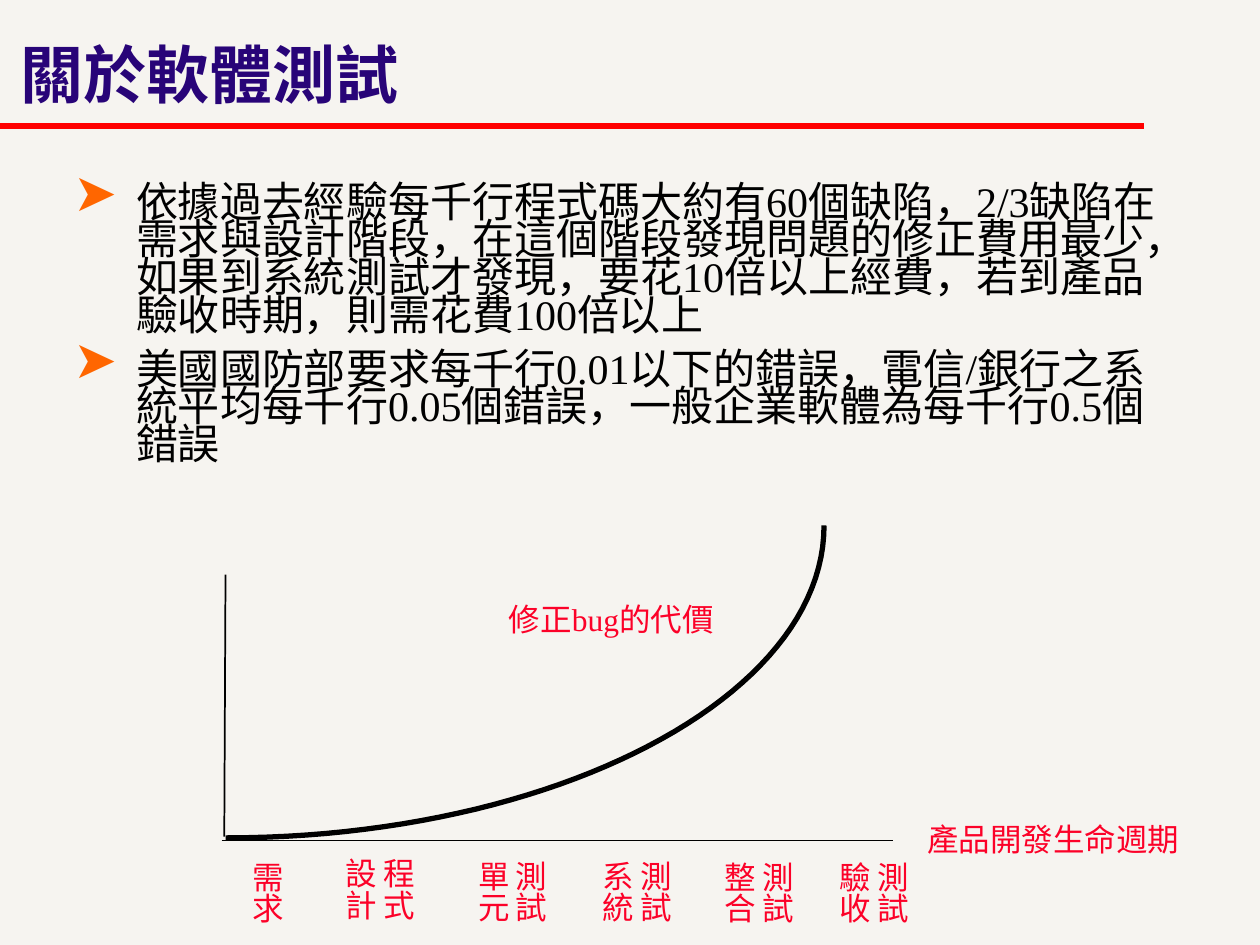
from dataclasses import dataclass

import pptx
import pptx.dml.color
import pptx.enum.shapes
import pptx.enum.text
import pptx.oxml.ns
import pptx.util
from lxml import etree

Inches = pptx.util.Inches
Pt = pptx.util.Pt
ANCHOR = pptx.enum.text.MSO_ANCHOR


@dataclass(frozen=True)
class Theme:
    """Colours, font and type sizes of the slide."""
    background: str = "F6F4F0"
    title: str = "280478"
    rule: str = "FF0000"
    bullet: str = "FF6600"
    ink: str = "000000"
    label: str = "FC0128"
    font: str = "Times New Roman"
    title_size: int = 36
    body_size: int = 24
    label_size: int = 18


THEME = Theme()
POINTS = (
    "依據過去經驗每千行程式碼大約有60個缺陷，2/3缺陷在需求與設計階段，在這個階段發現問題的修正費用最少，"
    "如果到系統測試才發現，要花10倍以上經費，若到產品驗收時期，則需花費100倍以上",
    "美國國防部要求每千行0.01以下的錯誤，電信/銀行之系統平均每千行0.05個錯誤，一般企業軟體為每千行0.5個錯誤",
)
STAGES = (
    ("需求", 0, 2.11, 0.62),
    ("程式\n設計", 0.74, 2.08, 0.92),
    ("測試\n單元", 1.79, 2.1, 0.92),
    ("測試\n系統", 2.78, 2.1, 0.92),
    ("測試\n整合", 3.75, 2.11, 0.92),
    ("測試\n驗收", 4.66, 2.11, 0.92),
)


def rgb(value):
    """Turn a hex string into a colour."""
    return pptx.dml.color.RGBColor.from_string(value)


def add_child(parent, tag, **attributes):
    """Append a DrawingML element."""
    return etree.SubElement(parent, pptx.oxml.ns.qn(tag), attributes)


def add_text(slide, box, text, size, color, anchor=ANCHOR.TOP, wrap=True,
             insets=(0.16, 0.08, 0.16, 0.08), bold=False):
    """Place text in a box and return its frame."""
    frame = slide.shapes.add_textbox(*map(Inches, box)).text_frame
    frame.text = text
    frame.word_wrap = wrap
    frame.vertical_anchor = anchor
    (frame.margin_left, frame.margin_top,
     frame.margin_right, frame.margin_bottom) = map(Inches, insets)
    for paragraph in frame.paragraphs:
        for run in paragraph.runs:
            run.font.name = THEME.font
            run.font.size = Pt(size)
            run.font.bold = bold
            run.font.color.rgb = rgb(color)
    return frame


def add_label(slide, box, text, **options):
    """Place a chart label that grows with its text."""
    frame = add_text(slide, box, text, THEME.label_size, THEME.label, wrap=False, **options)
    frame.auto_size = pptx.enum.text.MSO_AUTO_SIZE.SHAPE_TO_FIT_TEXT
    return frame


def add_line(slide, start, end, color, width):
    """Draw a straight line without shadow."""
    line = slide.shapes.add_connector(
        pptx.enum.shapes.MSO_CONNECTOR.STRAIGHT, *map(Inches, start + end))
    line.line.color.rgb = rgb(color)
    line.line.width = Pt(width)
    add_child(line._element.spPr, "a:effectLst")


def add_title(slide, box, text):
    """Place the title and the rule beneath it."""
    left, top, width, _ = box
    add_line(slide, (left, top + 1), (left + width + 0.18, top + 1), THEME.rule, 3)
    frame = add_text(slide, box, text, THEME.title_size, THEME.title, ANCHOR.MIDDLE, bold=True)
    frame.paragraphs[0].line_spacing = 0.85


def add_points(slide, box, points):
    """Place the bulleted points."""
    frame = add_text(slide, box, "\n".join(points), THEME.body_size, THEME.ink,
                     ANCHOR.MIDDLE, insets=(0.16, 0.49, 0.16, 0.08))
    for index, paragraph in enumerate(frame.paragraphs):
        paragraph.line_spacing = 0.75
        paragraph.space_before = Pt(1.5 if index else 0)
        paragraph.space_after = Pt(7.5)
        properties = paragraph._p.get_or_add_pPr()
        properties.set("marL", str(Inches(0.5)))
        properties.set("indent", str(Inches(-0.5)))
        add_child(add_child(properties, "a:buClr"), "a:srgbClr", val=THEME.bullet)
        add_child(properties, "a:buSzPct", val="125000")
        add_child(properties, "a:buChar", char="➤")


def add_cost_curve(slide, box, steps=48):
    """Draw a rising quarter ellipse from lower left to upper right."""
    left, top, width, height = box
    points = []
    for step in range(steps + 1):
        t = step / steps
        x = 3 * (1 - t) ** 2 * t * 0.55 + 3 * (1 - t) * t ** 2 + t ** 3
        y = (1 - t) ** 3 + 3 * (1 - t) ** 2 * t + 3 * (1 - t) * t ** 2 * 0.55
        points.append((Inches(left + x * width), Inches(top + y * height)))
    builder = slide.shapes.build_freeform(*points[0], scale=1.0)
    builder.add_line_segments(points[1:], close=False)
    curve = builder.convert_to_shape()
    curve.shadow.inherit = False
    curve.fill.background()
    curve.line.color.rgb = rgb(THEME.ink)
    curve.line.width = Pt(3)


def add_cost_chart(slide, box):
    """Draw the axes, stage labels and cost curve."""
    left, top, width, height = box
    axis = top + height
    add_line(slide, (left + 0.06, top + 0.39), (left + 0.05, axis - 0.03), THEME.ink, 1)
    add_line(slide, (left + 0.03, axis), (left + width, axis), THEME.ink, 1)
    add_label(slide, (left + width + 0.11, axis - 0.24, 2.32, 0.46), "產品開發生命週期")
    for text, dx, dy, stage_width in STAGES:
        frame = add_label(slide, (left + dx, top + 0.4 + dy, stage_width, 0.66), text,
                          insets=(0.08, 0.16, 0.08, 0.16))
        frame._txBody.bodyPr.set("vert", "eaVert")
    add_cost_curve(slide, (left + 0.06, top, 4.75, height - 0.02))
    add_label(slide, (left + 2.15, top + 0.51, 2.07, 0.46), "修正bug的代價")


def main():
    """Build and save the slide."""
    deck = pptx.Presentation()
    deck.slide_width, deck.slide_height = Inches(10), Inches(7.5)
    slide = deck.slides.add_slide(deck.slide_layouts[6])
    slide.background.fill.solid()
    slide.background.fill.fore_color.rgb = rgb(THEME.background)
    add_title(slide, (0, 0, 8.9, 1.25), "關於軟體測試")
    add_points(slide, (0.42, 0.8, 9.13, 3.18), POINTS)
    add_cost_chart(slide, (1.73, 4.17, 5.36, 2.5))
    deck.save("out.pptx")


if __name__ == "__main__":
    main()
